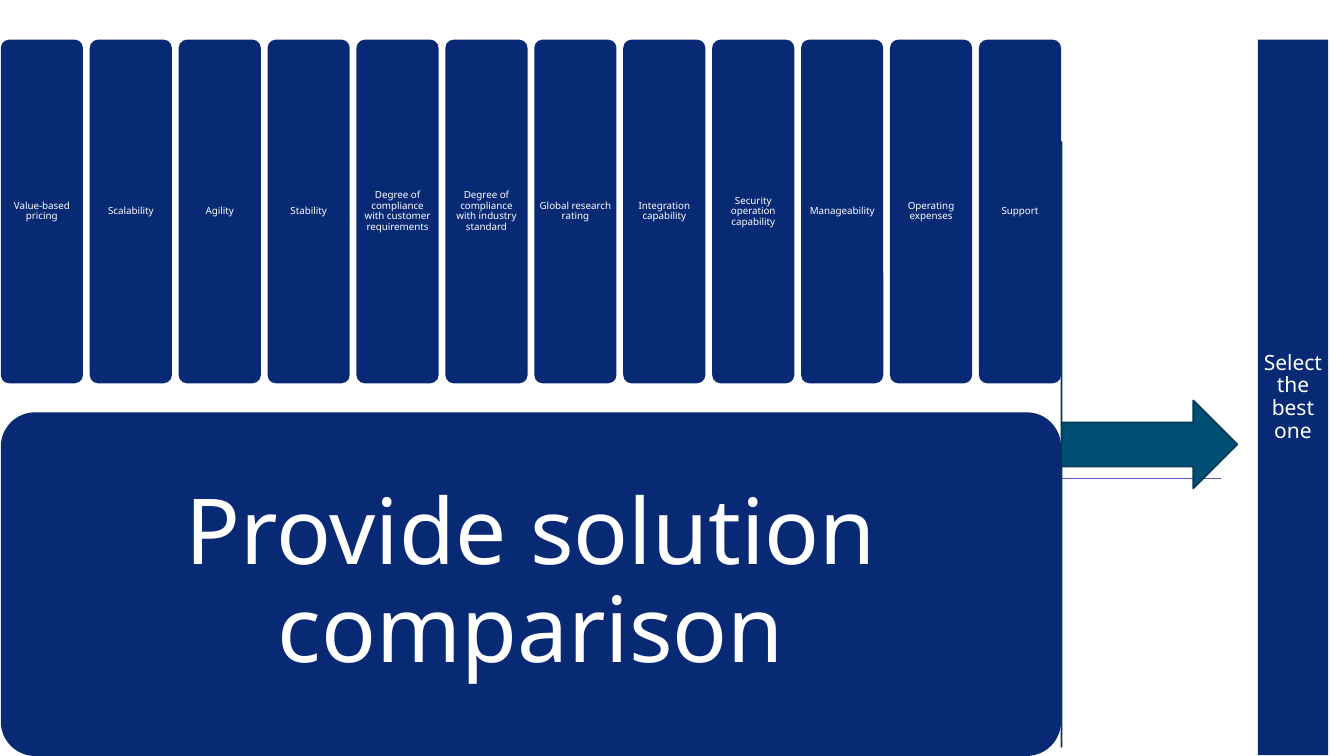
import pptx
import pptx.dml.color
import pptx.enum.shapes
import pptx.enum.text
import pptx.oxml.ns
import pptx.util
from lxml import etree

Cm = pptx.util.Cm
Pt = pptx.util.Pt
RGBColor = pptx.dml.color.RGBColor
SHAPES = pptx.enum.shapes.MSO_SHAPE

NAVY = RGBColor(0x08, 0x2A, 0x75)
TEAL = RGBColor(0x02, 0x4F, 0x75)
DARK_TEAL = RGBColor(0x01, 0x3A, 0x57)
VIOLET = RGBColor(0x5A, 0x52, 0xC8)
WHITE = RGBColor(0xFF, 0xFF, 0xFF)

FONT = "Noto Sans"
CRITERIA = [
    "Value-based pricing",
    "Scalability",
    "Agility",
    "Stability",
    "Degree of compliance with customer requirements",
    "Degree of compliance with industry standard",
    "Global research rating",
    "Integration capability",
    "Security operation capability",
    "Manageability",
    "Operating expenses",
    "Support",
]


def add_panel(slide, kind, box, text, size, inset):
    shape = slide.shapes.add_shape(kind, *(Cm(length) for length in box))
    shape.shadow.inherit = False
    shape.fill.solid()
    shape.fill.fore_color.rgb = NAVY
    shape.line.fill.background()
    if kind == SHAPES.ROUNDED_RECTANGLE:
        shape.adjustments[0] = 0.1
    frame = shape.text_frame
    frame.word_wrap = True
    frame.vertical_anchor = pptx.enum.text.MSO_ANCHOR.MIDDLE
    frame.margin_left = frame.margin_right = Cm(inset)
    frame.margin_top = frame.margin_bottom = Cm(inset)
    paragraph = frame.paragraphs[0]
    paragraph.text = text
    paragraph.alignment = pptx.enum.text.PP_ALIGN.CENTER
    paragraph.line_spacing = 0.9
    paragraph.font.name = FONT
    paragraph.font.size = Pt(size)
    paragraph.font.color.rgb = WHITE


def add_rule(slide, left, top, width):
    connector = slide.shapes.add_connector(
        pptx.enum.shapes.MSO_CONNECTOR.STRAIGHT,
        Cm(left), Cm(top), Cm(left + width), Cm(top),
    )
    connector.line.color.rgb = VIOLET
    connector.line.width = Pt(0.5)
    properties = connector._element.spPr
    etree.SubElement(properties, pptx.oxml.ns.qn("a:effectLst"))


def add_comparison(slide, left, top, width, height):
    row_gap, column_gap = 0.73, 0.17
    row_height = (height - row_gap) / 2
    count = len(CRITERIA)
    column_width = (width - (count - 1) * column_gap) / count
    heading_box = (left, top + row_height + row_gap, width, row_height)
    add_panel(slide, SHAPES.ROUNDED_RECTANGLE, heading_box,
              "Provide solution comparison", 65, 0.69)
    for index, criterion in enumerate(CRITERIA):
        column_left = left + index * (column_width + column_gap)
        column_box = (column_left, top, column_width, row_height)
        add_panel(slide, SHAPES.ROUNDED_RECTANGLE, column_box, criterion, 7, 0.07)


def add_selection(slide, left, top, width, height):
    add_panel(slide, SHAPES.RECTANGLE, (left, top, width, height),
              "Select the best one", 15, 0.1)


def add_callout_arrow(slide, left, top, width, height):
    arrow = slide.shapes.add_shape(
        SHAPES.RIGHT_ARROW_CALLOUT, Cm(left), Cm(top), Cm(width), Cm(height))
    arrow.shadow.inherit = False
    for index, value in enumerate((0.25, 0.25, 0.25, 0)):
        arrow.adjustments[index] = value
    arrow.fill.solid()
    arrow.fill.fore_color.rgb = TEAL
    arrow.line.color.rgb = DARK_TEAL
    arrow.line.width = Pt(1.25)


def main():
    presentation = pptx.Presentation()
    presentation.slide_width = Cm(33.87)
    presentation.slide_height = Cm(19.05)
    slide = presentation.slides.add_slide(presentation.slide_layouts.get_by_name("Blank"))
    add_rule(slide, 3.35, 12.06, 27.43)
    add_comparison(slide, 0.02, 1, 26.72, 18.05)
    add_selection(slide, 31.7, 1, 1.77, 18.03)
    add_callout_arrow(slide, 26.75, 3.58, 4.43, 15.24)
    presentation.save("out.pptx")


if __name__ == "__main__":
    main()
